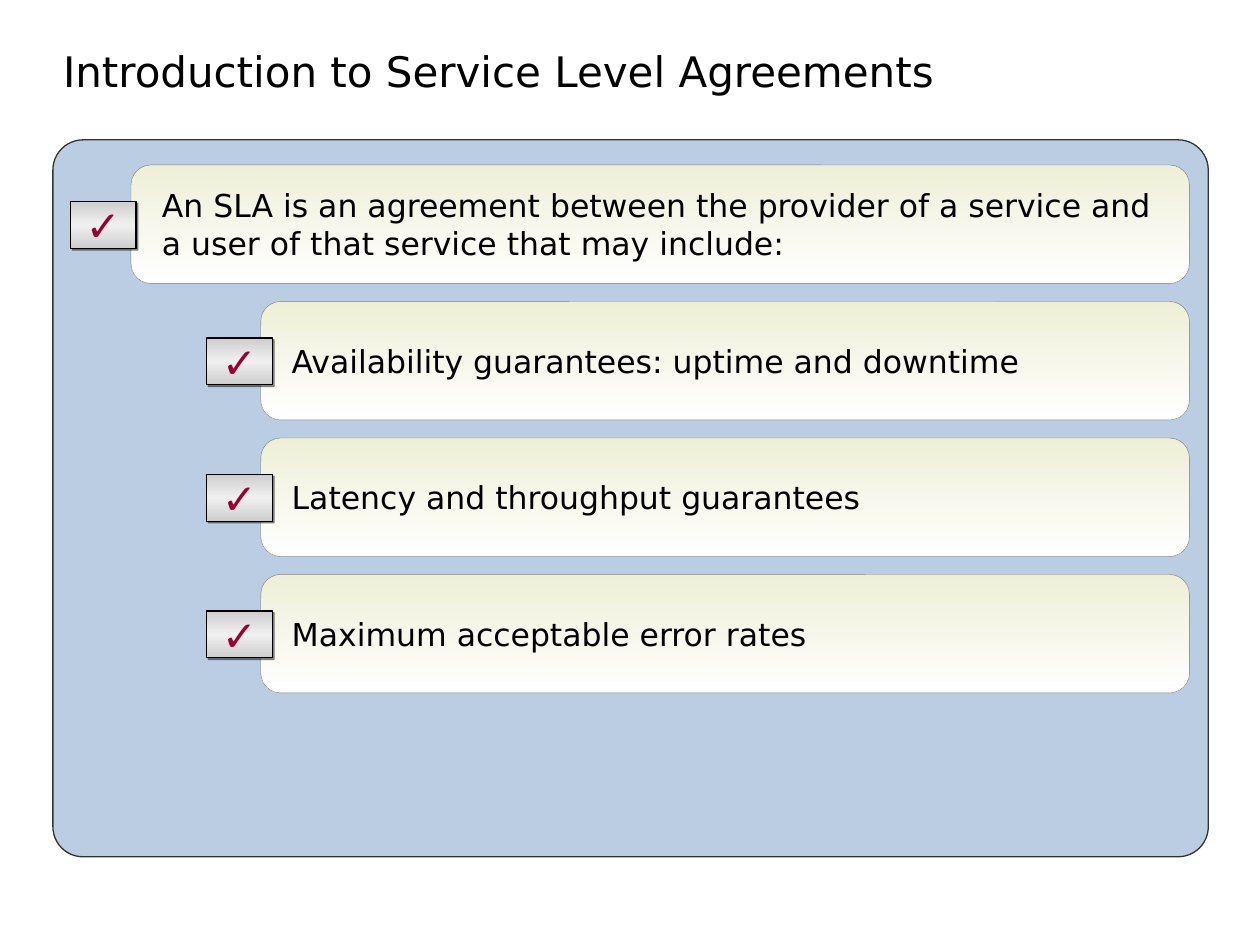
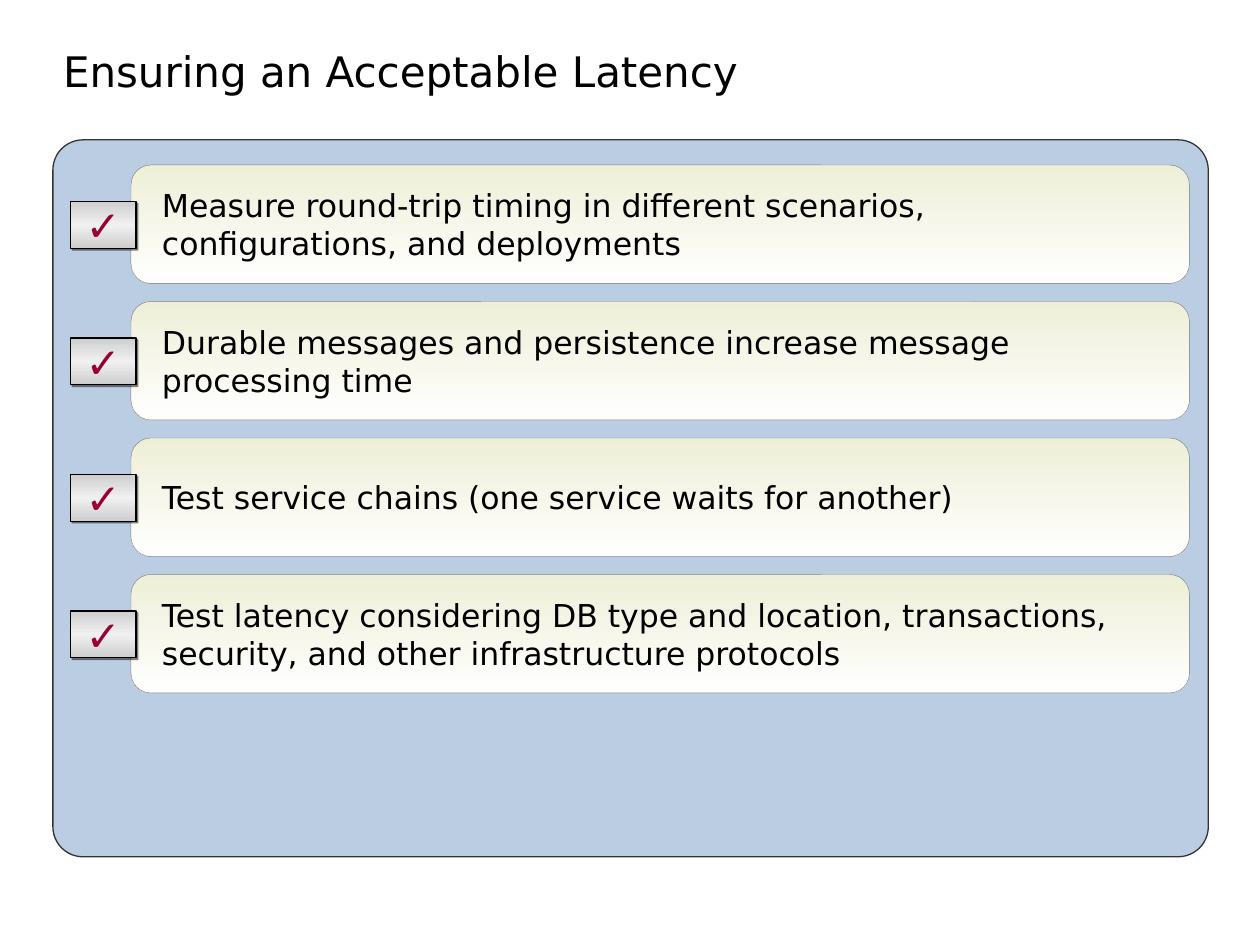
from collections import namedtuple
from dataclasses import dataclass

from pptx import Presentation
from pptx.dml.color import RGBColor
from pptx.enum.shapes import MSO_SHAPE
from pptx.enum.text import MSO_ANCHOR, MSO_AUTO_SIZE, PP_ALIGN
from pptx.oxml import parse_xml
from pptx.oxml.ns import nsdecls
from pptx.util import Inches, Pt


@dataclass(frozen=True)
class Theme:
    """Colours, fonts and type sizes shared by the slides."""

    ink: str = "000000"
    panel: str = "BBCDE3"
    panel_edge: str = "333333"
    card: tuple = ("EEEFD7", "FFFFFF")
    card_edge: str = "808080"
    badge: tuple = ("CECECE", "F0F0F0", "CECECE")
    check: str = "990033"
    font: str = "DejaVu Sans"
    check_font: str = "Arial"
    title_size: int = 24
    card_size: int = 18


THEME = Theme()
Box = namedtuple("Box", "left top width height")
Level = namedtuple("Level", "card_left badge_left")

TITLE = Box(0.5, 0, 8.5, 0.81)
PANEL = Box(0.42, 1.11, 9.17, 5.69)
LEVELS = (Level(0.62, 0.14), Level(1.65, 1.22))
ROW_TOP, ROW_STEP, ROW_HEIGHT = 0.2, 3.25 / 3, 0.94
CARD_RIGHT_GAP = 0.15
BADGE_DROP, BADGE_WIDTH, BADGE_HEIGHT = 0.29, 0.52, 0.37

SLIDES = (
    ("Introduction to Service Level Agreements", (
        (0, "An SLA is an agreement between the provider of a service and "
            "a user of that service that may include:"),
        (1, "Availability guarantees: uptime and downtime"),
        (1, "Latency and throughput guarantees"),
        (1, "Maximum acceptable error rates"),
    )),
    ("Ensuring an Acceptable Latency", (
        (0, "Measure round-trip timing in different scenarios, "
            "configurations, and deployments"),
        (0, "Durable messages and persistence increase message processing time"),
        (0, "Test service chains (one service waits for another)"),
        (0, "Test latency considering DB type and location, transactions, "
            "security, and other infrastructure protocols"),
    )),
)


def write_text(shape, text, *, size, font=THEME.font, color=THEME.ink, bold=False,
               align=PP_ALIGN.LEFT, anchor=MSO_ANCHOR.MIDDLE, left=0.1, right=0.1,
               wrap=True, spacing=1.0):
    """Write one formatted paragraph into a shape."""
    frame = shape.text_frame
    frame.text = text
    frame.auto_size = MSO_AUTO_SIZE.NONE
    frame.word_wrap = wrap
    frame.vertical_anchor = anchor
    frame.margin_left, frame.margin_right = Inches(left), Inches(right)
    frame.margin_top = frame.margin_bottom = Inches(0.05)
    paragraph = frame.paragraphs[0]
    paragraph.alignment = align
    paragraph.line_spacing = spacing
    paragraph.font.name = font
    paragraph.font.size = Pt(size)
    paragraph.font.bold = bold
    paragraph.font.color.rgb = RGBColor.from_string(color)


def fill_gradient(shape, colors):
    """Fill a shape from top to bottom with evenly spaced colours."""
    stops = "".join(
        f'<a:gs pos="{100000 * i // (len(colors) - 1)}"><a:srgbClr val="{color}"/></a:gs>'
        for i, color in enumerate(colors))
    gradient = parse_xml(
        f'<a:gradFill {nsdecls("a")} rotWithShape="1"><a:gsLst>{stops}</a:gsLst>'
        '<a:lin ang="5400000" scaled="0"/></a:gradFill>')
    shape.element.spPr.prstGeom.addnext(gradient)


def cast_shadow(shape):
    """Give a shape a short half-transparent shadow to the lower right."""
    shape.element.spPr.effectLst.append(parse_xml(
        f'<a:outerShdw {nsdecls("a")} dist="17780" dir="2700000" algn="ctr" '
        f'rotWithShape="0"><a:srgbClr val="{THEME.ink}"><a:alpha val="50000"/>'
        '</a:srgbClr></a:outerShdw>'))


def add_rounded(slide, box, *, radius, edge, edge_width):
    """Add an outlined rounded rectangle without a shadow."""
    shape = slide.shapes.add_shape(MSO_SHAPE.ROUNDED_RECTANGLE, *map(Inches, box))
    shape.adjustments[0] = radius
    shape.line.color.rgb = RGBColor.from_string(edge)
    shape.line.width = Pt(edge_width)
    shape.shadow.inherit = False
    return shape


def add_title(slide, text, box):
    """Place the title placeholder in its box."""
    title = slide.shapes.title
    title.left, title.top, title.width, title.height = map(Inches, box)
    write_text(title, text, size=THEME.title_size, anchor=MSO_ANCHOR.BOTTOM,
               left=0, spacing=0.85)


def add_card(slide, text, box):
    """Add the gradient card that holds one statement."""
    card = add_rounded(slide, box, radius=0.167, edge=THEME.card_edge, edge_width=0.25)
    fill_gradient(card, THEME.card)
    write_text(card, text, size=THEME.card_size, left=0.2, right=0.2)


def add_badge(slide, box):
    """Add the check mark badge beside a card."""
    badge = add_rounded(slide, box, radius=0, edge=THEME.ink, edge_width=0.75)
    fill_gradient(badge, THEME.badge)
    cast_shadow(badge)
    write_text(badge, "✓", size=THEME.title_size, font=THEME.check_font,
               color=THEME.check, bold=True, align=PP_ALIGN.CENTER, wrap=False)


def add_checklist(slide, points, box):
    """Add the panel with one card and badge for each point."""
    panel = add_rounded(slide, box, radius=0.042, edge=THEME.panel_edge, edge_width=0.75)
    panel.fill.solid()
    panel.fill.fore_color.rgb = RGBColor.from_string(THEME.panel)
    for row, (depth, text) in enumerate(points):
        level = LEVELS[depth]
        top = box.top + ROW_TOP + row * ROW_STEP
        card_width = box.width - level.card_left - CARD_RIGHT_GAP
        add_card(slide, text, Box(box.left + level.card_left, top, card_width, ROW_HEIGHT))
        add_badge(slide, Box(box.left + level.badge_left, top + BADGE_DROP,
                             BADGE_WIDTH, BADGE_HEIGHT))


def main():
    """Build and save the presentation."""
    presentation = Presentation()
    presentation.slide_width, presentation.slide_height = Inches(10), Inches(7.5)
    title_only = presentation.slide_layouts[5]
    for title, points in SLIDES:
        slide = presentation.slides.add_slide(title_only)
        add_title(slide, title, TITLE)
        add_checklist(slide, points, PANEL)
    presentation.save("out.pptx")


if __name__ == "__main__":
    main()
